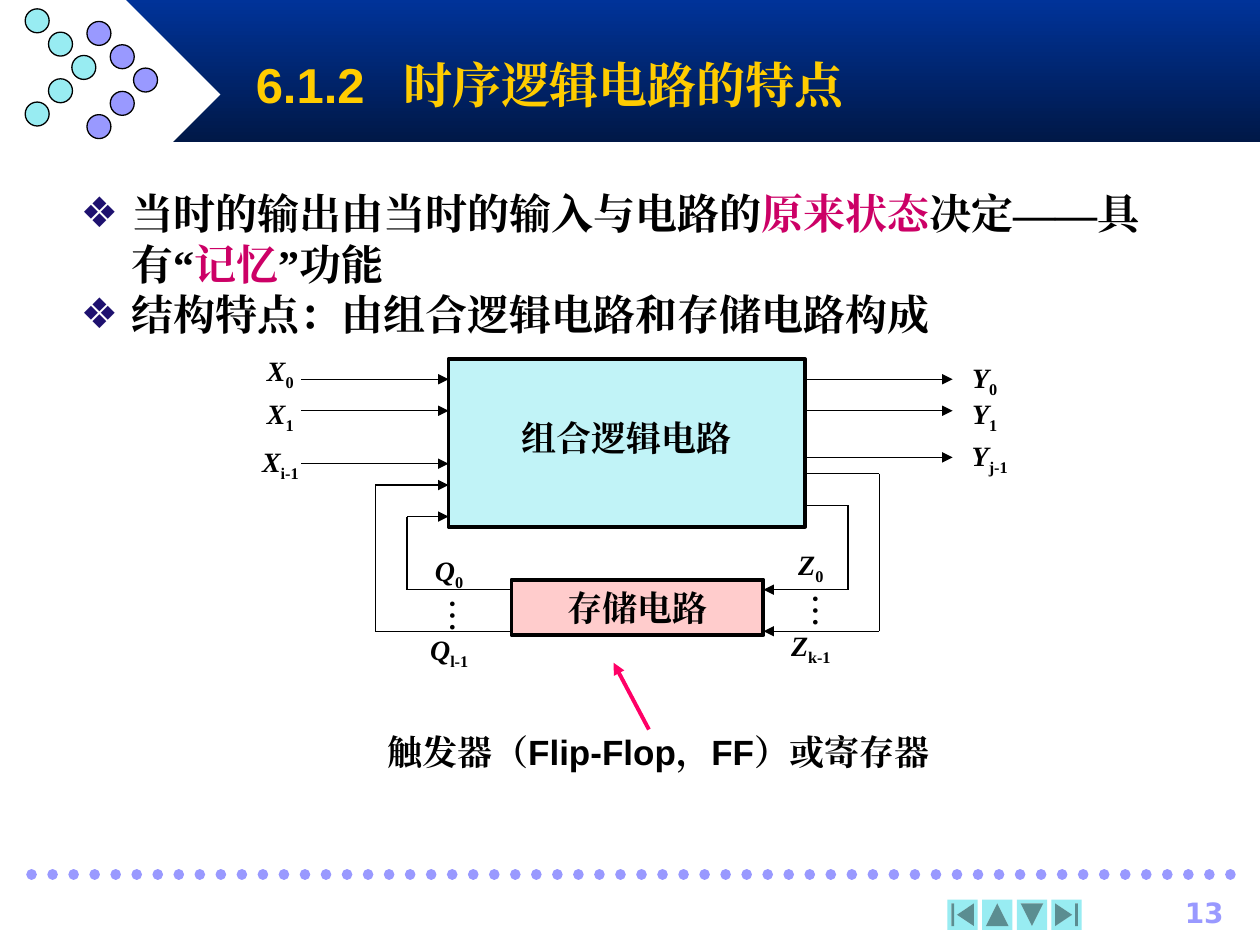
from itertools import pairwise

from lxml import etree
from pptx import Presentation
from pptx.dml.color import RGBColor
from pptx.enum.dml import MSO_LINE
from pptx.enum.shapes import MSO_CONNECTOR, MSO_SHAPE
from pptx.enum.text import MSO_ANCHOR, MSO_AUTO_SIZE, PP_ALIGN
from pptx.oxml.ns import qn
from pptx.util import Inches, Pt

BLACK = RGBColor(0x00, 0x00, 0x00)
WHITE = RGBColor(0xFF, 0xFF, 0xFF)
NAVY = RGBColor(0x00, 0x33, 0x99)
DARK_NAVY = RGBColor(0x00, 0x18, 0x47)
VIOLET = RGBColor(0x99, 0x99, 0xFF)
TEAL = RGBColor(0x98, 0xEC, 0xF2)
GOLD = RGBColor(0xFF, 0xCC, 0x00)
INDIGO = RGBColor(0x1E, 0x11, 0x6F)
MAGENTA = RGBColor(0xCC, 0x00, 0x66)
PINK = RGBColor(0xFF, 0x00, 0x66)
PALE_CYAN = RGBColor(0xC1, 0xF3, 0xF7)
PALE_RED = RGBColor(0xFF, 0xCC, 0xCC)

SANS, SERIF, CJK = "Arial", "Times New Roman", "Noto Sans CJK SC"

TITLE = "6.1.2\t时序逻辑电路的特点"
POINTS = [
    [("当时的输出由当时的输入与电路的", BLACK), ("原来状态", MAGENTA),
     ("决定——具有“", BLACK), ("记忆", MAGENTA), ("”功能", BLACK)],
    [("结构特点：由组合逻辑电路和存储电路构成", BLACK)],
]
CAPTION = [("触发器（", CJK), ("Flip-Flop，FF", SANS), ("）或寄存器", CJK)]

# Signal name, index, left and top of its label
SIGNALS = [
    ("X", "0", 1.89, 2.76), ("X", "1", 1.89, 3.1), ("X", "i-1", 1.89, 3.48),
    ("Y", "0", 7.48, 2.81), ("Y", "1", 7.48, 3.1), ("Y", "j-1", 7.52, 3.43),
    ("Q", "0", 3.23, 4.34), ("Q", "l-1", 3.23, 4.97),
    ("Z", "0", 6.1, 4.3), ("Z", "k-1", 6.1, 4.94),
]
ELLIPSES = [(3.35, 4.67), (6.23, 4.63)]

LOGIC = (3.56, 2.85, 2.83, 1.33)
MEMORY = (4.06, 4.6, 2, 0.44)
LOGIC_LEFT, LOGIC_RIGHT = LOGIC[0], LOGIC[0] + LOGIC[2]
MEMORY_LEFT, MEMORY_RIGHT = MEMORY[0], MEMORY[0] + MEMORY[2]
WIRE_LENGTH = 1.17
INPUT_ROWS = [3.01, 3.26, 3.68]
OUTPUT_ROWS = [3.01, 3.26, 3.63]
# Row at the logic block, column of the bend, row at the memory block
STATE_LOOPS = [(4.1, 3.23, 4.68), (3.85, 2.98, 5.01)]
DRIVE_LOOPS = [(4.01, 6.73, 4.68), (3.76, 6.98, 5.01)]

DOT, DOT_PITCH = 0.19, 0.185
DOT_CHEVRONS = [(0.69, 0.17, VIOLET), (0.2, 0.07, TEAL)]
BUTTON, BUTTON_PITCH = 0.24, 0.275
BUTTONS = [
    (MSO_SHAPE.ACTION_BUTTON_BEGINNING, 0),
    (MSO_SHAPE.ACTION_BUTTON_BACK_OR_PREVIOUS, 90),
    (MSO_SHAPE.ACTION_BUTTON_FORWARD_OR_NEXT, 90),
    (MSO_SHAPE.ACTION_BUTTON_END, 0),
]


def add_block(page, kind, frame, fill, line=None, width=0.75):
    block = page.shapes.add_shape(kind, *map(Inches, frame))
    block.shadow.inherit = False
    block.fill.solid()
    block.fill.fore_color.rgb = fill
    if line is None:
        block.line.fill.background()
    else:
        block.line.color.rgb = line
        block.line.width = Pt(width)
    return block


def add_span(para, text, size, font, color=BLACK, bold=True, italic=False):
    span = para.add_run()
    span.text = text
    span.font.size = Pt(size)
    span.font.name = font
    span.font.bold = bold
    span.font.italic = italic
    span.font.color.rgb = color
    east_asian = etree.SubElement(span.font._element, qn("a:ea"))
    east_asian.set("typeface", SERIF)
    return span


def add_text_box(page, frame, align=PP_ALIGN.CENTER):
    """Return a wrapping text box and its first paragraph."""
    box = page.shapes.add_textbox(*map(Inches, frame))
    box.text_frame.word_wrap = True
    para = box.text_frame.paragraphs[0]
    para.alignment = align
    return box, para


def add_wire(page, points, color=BLACK, width=0.75, arrow=True):
    """Join the points by straight lines, with an arrowhead at the last one."""
    for start, end in pairwise(points):
        wire = page.shapes.add_connector(
            MSO_CONNECTOR.STRAIGHT, *map(Inches, (*start, *end)))
        wire.line.color.rgb = color
        wire.line.width = Pt(width)
        etree.SubElement(wire._element.spPr, qn("a:effectLst"))
    if arrow:
        etree.SubElement(wire.line._get_or_add_ln(), qn("a:tailEnd"), type="triangle")
    return wire


def place(holder, frame):
    holder.left, holder.top, holder.width, holder.height = map(Inches, frame)
    holder.text_frame.auto_size = MSO_AUTO_SIZE.NONE


def draw_frame(page):
    banner = add_block(page, MSO_SHAPE.RECTANGLE, (1, 0, 9, 1.13), NAVY)
    banner.fill.gradient()
    banner.fill.gradient_angle = 270
    for stop, color in zip(banner.fill.gradient_stops, (NAVY, DARK_NAVY)):
        stop.color.rgb = color
    for stop, position in zip(banner.fill.gradient_stops, (0, 1)):
        stop.position = position
    add_block(page, MSO_SHAPE.DIAMOND, (0.25, 0, 1.5, 1.5), WHITE)
    for left, top, color in DOT_CHEVRONS:
        for row, column in enumerate((0, 1, 2, 1, 0)):
            frame = (left + column * DOT_PITCH, top + row * DOT_PITCH, DOT, DOT)
            add_block(page, MSO_SHAPE.OVAL, frame, color, BLACK)

    rule = add_wire(page, [(0.25, 6.94), (9.83, 6.94)], VIOLET, 6, arrow=False)
    rule.line.dash_style = MSO_LINE.ROUND_DOT
    rule.line._get_or_add_ln().set("cap", "rnd")
    for column, (kind, turn) in enumerate(BUTTONS):
        frame = (7.52 + column * BUTTON_PITCH, 7.14, BUTTON, BUTTON)
        add_block(page, kind, frame, TEAL).rotation = turn
    _, para = add_text_box(page, (8.86, 7.06, 0.95, 0.33), PP_ALIGN.RIGHT)
    add_span(para, "13", 16, "DejaVu Sans", VIOLET)


def write_text(page):
    title, body = page.placeholders
    place(title, (1.93, 0.33, 7.01, 0.67))
    title.text_frame.vertical_anchor = MSO_ANCHOR.MIDDLE
    para = title.text_frame.paragraphs[0]
    para.alignment = PP_ALIGN.LEFT
    tabs = etree.SubElement(para._p.get_or_add_pPr(), qn("a:tabLst"))
    etree.SubElement(tabs, qn("a:tab"), pos=str(Inches(1.17)), algn="l")
    add_span(para, TITLE, 28, SANS, GOLD)

    place(body, (0.54, 1.44, 9.21, 1.38))
    for number, spans in enumerate(POINTS):
        frame = body.text_frame
        para = frame.add_paragraph() if number else frame.paragraphs[0]
        props = para._p.get_or_add_pPr()
        props.set("marL", str(Inches(0.4)))
        props.set("indent", str(-Inches(0.4)))
        color = etree.SubElement(props, qn("a:buClr"))
        etree.SubElement(color, qn("a:srgbClr"), val=str(INDIGO))
        etree.SubElement(props, qn("a:buChar"), char="❖")
        para.space_before = Pt(0)
        para.line_spacing = 1.0
        for text, ink in spans:
            add_span(para, text, 24, SANS, ink)

    _, para = add_text_box(page, (2.98, 5.79, 4.69, 0.7), PP_ALIGN.LEFT)
    para.line_spacing = 0.9
    for text, font in CAPTION:
        add_span(para, text, 20, font)


def draw_circuit(page):
    add_wire(page, [(5.15, 5.79), (4.87, 5.26)], PINK, 2.25)
    add_block(page, MSO_SHAPE.RECTANGLE, LOGIC, PALE_CYAN, BLACK, 2.25)
    _, para = add_text_box(page, (3.89, 3.26, 2.17, 0.44))
    add_span(para, "组合逻辑电路", 20, SANS)
    memory = add_block(page, MSO_SHAPE.RECTANGLE, MEMORY, PALE_RED, BLACK, 2.25)
    para = memory.text_frame.paragraphs[0]
    para.alignment = PP_ALIGN.CENTER
    add_span(para, "存储电路", 20, SERIF)

    for row in INPUT_ROWS:
        add_wire(page, [(LOGIC_LEFT - WIRE_LENGTH, row), (LOGIC_LEFT, row)])
    for row in OUTPUT_ROWS:
        add_wire(page, [(LOGIC_RIGHT, row), (LOGIC_RIGHT + WIRE_LENGTH, row)])
    for upper, bend, lower in STATE_LOOPS:
        add_wire(page, [(MEMORY_LEFT, lower), (bend, lower),
                        (bend, upper), (LOGIC_LEFT, upper)])
    for upper, bend, lower in DRIVE_LOOPS:
        add_wire(page, [(LOGIC_RIGHT, upper), (bend, upper),
                        (bend, lower), (MEMORY_RIGHT, lower)])

    for name, index, left, top in SIGNALS:
        _, para = add_text_box(page, (left, top, 0.67, 0.41))
        add_span(para, name, 16, SERIF, italic=True)
        subscript = add_span(para, index, 16, SERIF)
        subscript.font._element.set("baseline", "-25000")
    for left, top in ELLIPSES:
        box, para = add_text_box(page, (left, top, 0.49, 0.44))
        box.rotation = 90
        add_span(para, "…", 20, CJK, bold=False)


def main():
    deck = Presentation()
    deck.slide_width, deck.slide_height = Inches(10), Inches(7.5)
    page = deck.slides.add_slide(deck.slide_layouts[1])
    draw_frame(page)
    write_text(page)
    draw_circuit(page)
    # The placeholders come first in the tree; lift them above the banner
    for holder in list(page.placeholders):
        page.shapes._spTree.append(holder._element)
    deck.save("out.pptx")


if __name__ == "__main__":
    main()
